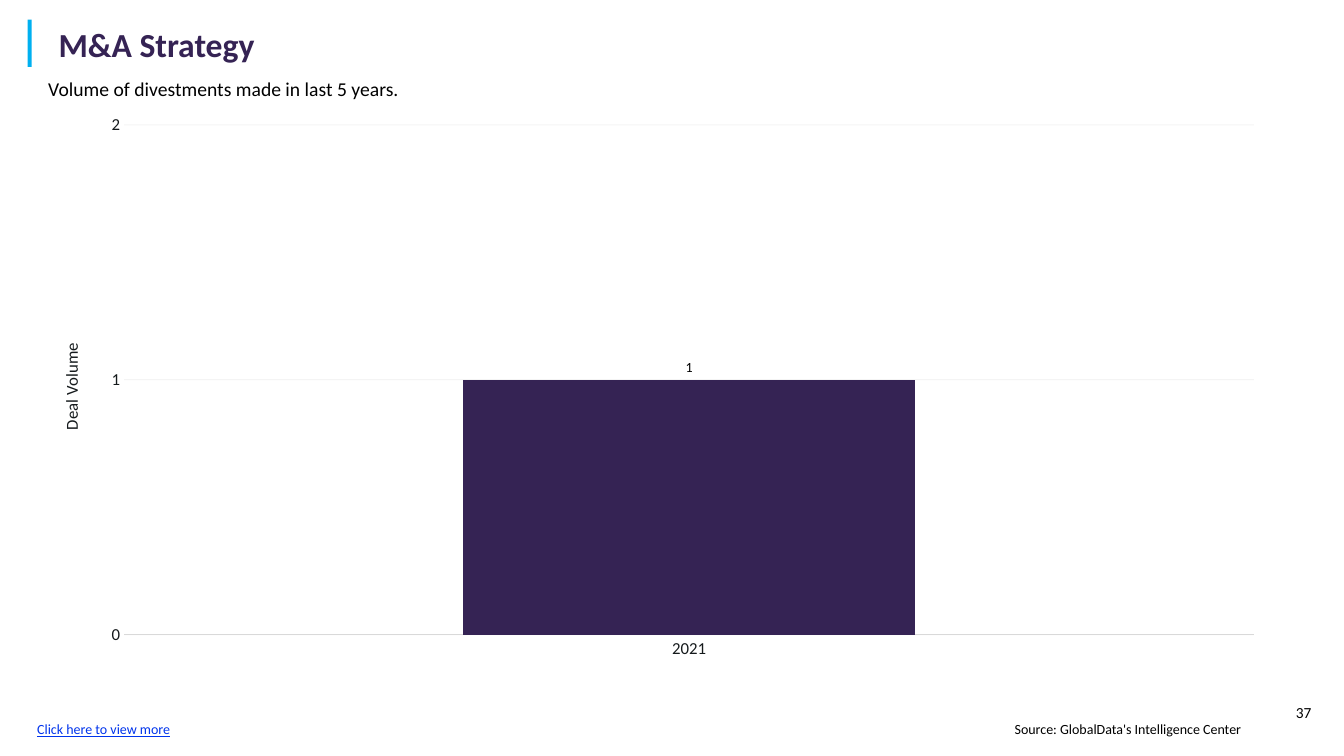
from lxml import etree
from pptx import Presentation
from pptx import util as u
from pptx.chart.data import CategoryChartData
from pptx.dml.color import RGBColor
from pptx.enum import chart as kinds, shapes, text
from pptx.oxml.ns import qn

COLORS = {
    "purple": "352354",
    "accent": "00B0F0",
    "black": "000000",
    "axis": "151A1C",
    "grid": "D9D9D9",
    "link": "0034EC",
}
FONT = "Calibri"
WIDTH, HEIGHT = u.Inches(13.33), u.Inches(7.5)


def color(name):
    return RGBColor.from_string(COLORS[name])


def area(left, top, width, height):
    return (
        int(WIDTH * left / 100),
        int(HEIGHT * top / 100),
        int(WIDTH * width / 100),
        int(HEIGHT * height / 100),
    )


def style_font(font, size, tone="black", bold=False, underline=None):
    font.name = FONT
    font.size = u.Pt(size)
    font.bold = bold
    font.underline = underline
    font.color.rgb = color(tone)


def write_text(frame, words, align="LEFT", anchor="TOP", insets=(0.1, 0.1), **style):
    frame.word_wrap = True
    frame.auto_size = text.MSO_AUTO_SIZE.NONE
    frame.vertical_anchor = getattr(text.MSO_ANCHOR, anchor)
    frame.margin_left, frame.margin_right = map(u.Inches, insets)
    frame.margin_top = frame.margin_bottom = u.Inches(0.05)
    para = frame.paragraphs[0]
    para.alignment = getattr(text.PP_ALIGN, align)
    span = para.add_run()
    span.text = words
    style_font(span.font, **style)


def add_text(page, place, words, **style):
    box = page.shapes.add_textbox(*area(*place))
    write_text(box.text_frame, words, **style)


def add_title(page, place, words):
    title = page.shapes.title
    title.left, title.top, title.width, title.height = area(*place)
    write_text(title.text_frame, words, anchor="MIDDLE", insets=(0.31, 0.08),
               size=24, tone="purple", bold=True)


def add_bar(page, place):
    bar = page.shapes.add_shape(shapes.MSO_SHAPE.RECTANGLE, *area(*place))
    bar.shadow.inherit = False
    bar.fill.solid()
    bar.fill.fore_color.rgb = color("accent")
    bar.line.fill.background()


def place_plot(chart, **shares):
    plot_area = chart.element.find(".//" + qn("c:plotArea"))
    for old in plot_area.findall(qn("c:layout")):
        plot_area.remove(old)
    layout = etree.Element(qn("c:layout"))
    manual = etree.SubElement(layout, qn("c:manualLayout"))
    settings = {"layoutTarget": "inner", "xMode": "edge", "yMode": "edge", **shares}
    for name, value in settings.items():
        etree.SubElement(manual, qn("c:" + name)).set("val", str(value))
    plot_area.insert(0, layout)


def fade_gridlines(chart, opacity):
    gridlines = chart.element.find(".//" + qn("c:majorGridlines"))
    tint = gridlines.find(".//" + qn("a:srgbClr"))
    etree.SubElement(tint, qn("a:alpha")).set("val", str(opacity * 1000))


def style_axis(axis):
    axis.major_tick_mark = axis.minor_tick_mark = kinds.XL_TICK_MARK.NONE
    style_font(axis.tick_labels.font, 12, "axis")


def style_line(line):
    line.color.rgb = color("grid")
    line.width = u.Pt(0.75)


def style_value_axis(axis, caption):
    style_axis(axis)
    axis.minimum_scale, axis.maximum_scale, axis.major_unit = 0, 2, 1
    axis.tick_labels.number_format = "#,##0"
    axis.tick_labels.number_format_is_linked = False
    axis.format.line.fill.background()
    axis.has_major_gridlines = True
    style_line(axis.major_gridlines.format.line)
    span = axis.axis_title.text_frame.paragraphs[0].add_run()
    span.text = caption
    style_font(span.font, 12, "axis")


def add_columns(page, place, categories, values, caption):
    data = CategoryChartData()
    data.categories = categories
    data.add_series("Series 1", values)
    chart = page.shapes.add_chart(
        kinds.XL_CHART_TYPE.COLUMN_CLUSTERED, *area(*place), data).chart
    chart.has_legend = chart.has_title = False
    style_font(chart.font, 10)
    place_plot(chart, x=0.07, y=0.03, w=0.92, h=0.9)
    style_axis(chart.category_axis)
    style_line(chart.category_axis.format.line)
    style_value_axis(chart.value_axis, caption)
    fade_gridlines(chart, 27)
    plot = chart.plots[0]
    plot.vary_by_categories = False
    plot.gap_width = 150
    fill = plot.series[0].format.fill
    fill.solid()
    fill.fore_color.rgb = color("purple")
    plot.has_data_labels = True
    labels = plot.data_labels
    labels.show_value = True
    labels.position = kinds.XL_LABEL_POSITION.OUTSIDE_END
    style_font(labels.font, 10)


def main():
    deck = Presentation()
    deck.slide_width, deck.slide_height = WIDTH, HEIGHT
    page = deck.slides.add_slide(deck.slide_layouts[5])
    add_bar(page, (2.06, 2.6, 0.3, 6.27))
    add_title(page, (2.03, 3.2, 92.12, 5.2), "M&A Strategy")
    add_text(page, (2.85, 9.47, 61.5, 4.53),
             "Volume of divestments made in last 5 years.", size=14)
    add_columns(page, (2.85, 14.27, 91.37, 74.93), ["2021"], [1], "Deal Volume")
    add_text(page, (2.03, 94.67, 92.12, 3.6), "Click here to view more",
             size=10, tone="link", underline=True)
    add_text(page, (2.4, 94.67, 92.12, 3.6), "Source: GlobalData's Intelligence Center",
             align="RIGHT", insets=(0.1, 0.29), size=10)
    add_text(page, (94, 92.4, 6, 3.87), "37", align="CENTER", size=11)
    deck.save("out.pptx")


if __name__ == "__main__":
    main()
